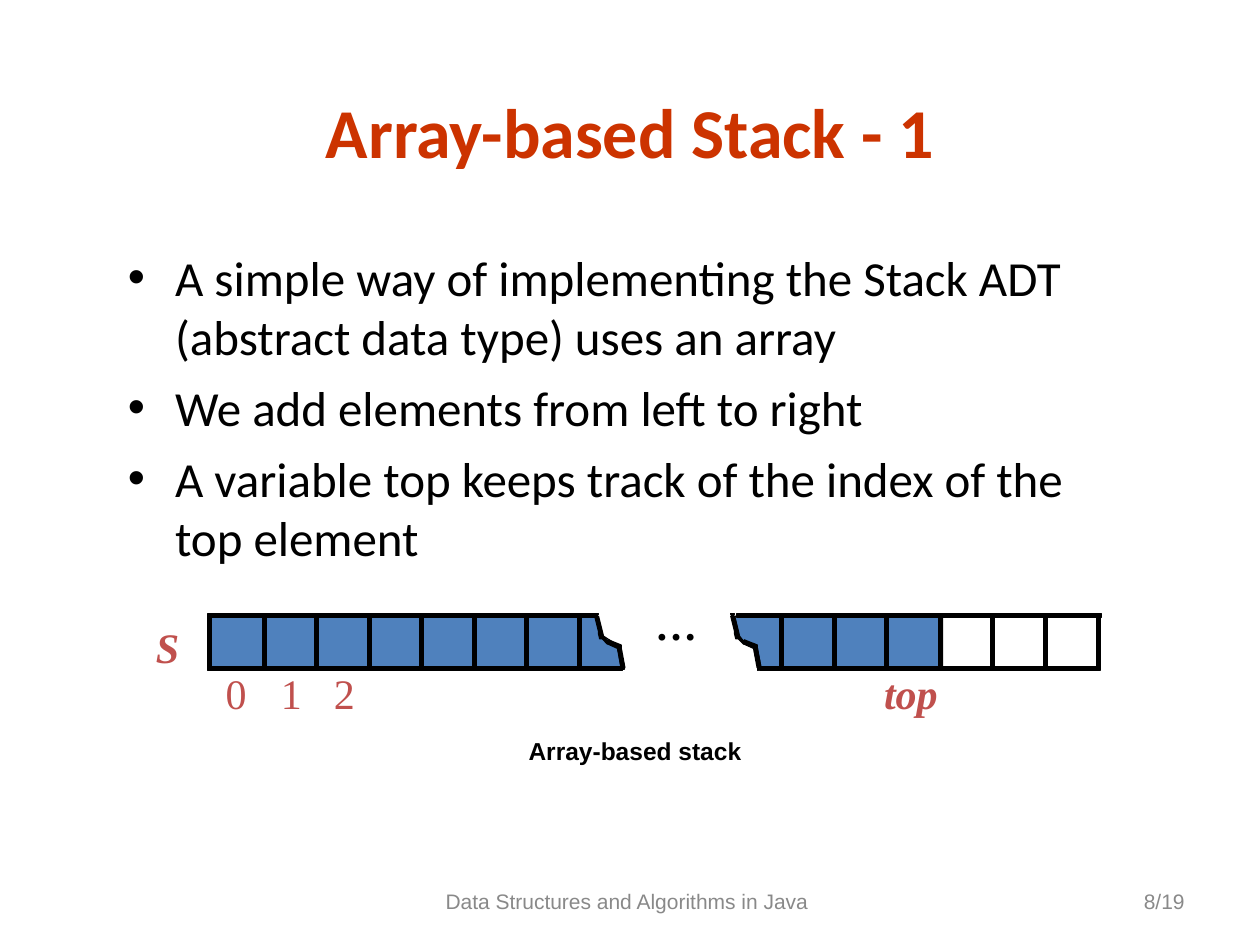
"""Build a slide that explains the array-based stack."""
import pptx
import pptx.dml.color
import pptx.enum.shapes
import pptx.enum.text
import pptx.oxml
import pptx.util
import lxml.etree


def colour(value):
    return pptx.dml.color.RGBColor.from_string(value)


def write(paragraph, text, size, font, shade, bold=False, italic=False):
    run = paragraph.add_run()
    run.text = text
    run.font.size = pptx.util.Pt(size)
    run.font.name = font
    run.font.color.rgb = colour(shade)
    run.font.bold = bold
    run.font.italic = italic


LEFT = pptx.enum.text.PP_ALIGN.LEFT
CENTER = pptx.enum.text.PP_ALIGN.CENTER
RIGHT = pptx.enum.text.PP_ALIGN.RIGHT
TOP = pptx.enum.text.MSO_ANCHOR.TOP
MIDDLE = pptx.enum.text.MSO_ANCHOR.MIDDLE
SERIF, SANS = "Times New Roman", "Arial"
RED, GREY, BLACK, BLUE = "C0504D", "898989", "000000", "4F81BD"

presentation = pptx.Presentation()
inch = pptx.util.Inches(1)
presentation.slide_width = 10 * inch
presentation.slide_height = int(7.5 * inch)
slide = presentation.slides.add_slide(presentation.slide_layouts[5])
shapes = slide.shapes

column = presentation.slide_width / inch / 120
cell = 5 * column
row_top, row_bottom = 4.89, 5.3
bar, cap = 0.03, 0.01
bar_top, bar_bottom = 4.87, 5.29
label_top = row_bottom

title = shapes.title
title.left, title.top, title.width, title.height = (
    int(value * inch) for value in (0.5, 0.65, 9, 0.77))
title.text_frame.vertical_anchor = MIDDLE
title_paragraph = title.text_frame.paragraphs[0]
title_paragraph.alignment = CENTER
write(title_paragraph, "Array-based Stack - 1", 40, "Calibri", "CC3300", True)

body_box = (11 * column, 23 * column, 95 * column, 2.63)
body = shapes.add_textbox(*(int(value * inch) for value in body_box))
body.text_frame.word_wrap = True
points = [
    "A simple way of implementing the Stack ADT (abstract data type) uses an array",
    "We add elements from left to right",
    "A variable top keeps track of the index of the top element",
]
for index, point in enumerate(points):
    paragraph = body.text_frame.paragraphs[0] if index == 0 else body.text_frame.add_paragraph()
    paragraph.space_before = pptx.util.Pt(7)
    properties = paragraph._p.get_or_add_pPr()
    indent = int(4.5 * column * inch)
    properties.set("marL", str(indent))
    properties.set("indent", str(-indent))
    lxml.etree.SubElement(properties, pptx.oxml.ns.qn("a:buFont")).set("typeface", SANS)
    lxml.etree.SubElement(properties, pptx.oxml.ns.qn("a:buChar")).set("char", "•")
    write(paragraph, point, 28, "Calibri", BLACK)

outlines = [
    (BLUE, [(7.48, row_bottom), (7.48, row_top), (5.83, row_top),
            (5.87, 5.07), (6.01, 5.14), (6.04, row_bottom)]),
    (BLUE, [(1.67, row_top), (1.67, row_bottom), (4.93, row_bottom),
            (4.9, 5.12), (4.76, 5.03), (4.73, row_top)]),
]
tear = [
    [(4.75, row_top), (4.78, 5.01), (4.79, 5.05), (4.83, 5.1), (4.83, 5.08), (4.82, 5.11),
     (4.78, 5.07), (4.76, 5.07), (4.75, 5.03), (4.75, 5.01), (4.72, row_top)],
    [(4.83, 5.08), (4.93, 5.12), (4.93, 5.14), (4.9, 5.14), (4.91, 5.15), (4.82, 5.11)],
    [(4.93, 5.14), (4.9, 5.14), (4.93, row_bottom), (4.96, row_bottom)],
]
bars = [
    (1.65, bar_top, 3.08, bar), (5.85, bar_top, 2.89, bar),
    (1.67, bar_bottom, 3.26, bar), (6.03, bar_bottom, 2.69, bar),
    (1.65, row_top, bar, 0.43), (8.7, row_top, bar, 0.43),
]
for shift in (0, 1.08):
    outlines += [(BLACK, [(x + shift, y) for x, y in piece]) for piece in tear]
    bars += [(4.73 + shift, bar_top, cap, bar), (4.93 + shift, bar_bottom, cap, bar),
             (4.72 + shift, bar_top, bar, cap), (4.93 + shift, row_bottom, bar, cap)]
for first, count in ((25 * column, 7), (6.19, 3), (7.45, 3)):
    for step in range(count):
        x = first + step * cell
        bars += [(x, bar_top, bar, cap), (x, row_bottom, bar, cap),
                 (x, row_top, bar, row_bottom - row_top)]

pieces = []
for fill, corners in outlines:
    start, *rest = [(int(x * inch), int(y * inch)) for x, y in corners]
    builder = shapes.build_freeform(*start)
    builder.add_line_segments(rest, close=True)
    pieces.append((fill, builder.convert_to_shape()))
for box in bars:
    pieces.append((BLACK, shapes.add_shape(
        pptx.enum.shapes.MSO_SHAPE.RECTANGLE, *(int(value * inch) for value in box))))
for fill, piece in pieces:
    piece.shadow.inherit = False
    piece.fill.solid()
    piece.fill.fore_color.rgb = colour(fill)
    piece.line.color.rgb = colour(BLACK)
    piece.line.width = pptx.util.Pt(0.75)

labels = [
    ("S", 1.17, 4.93, 0.32, 0.4, CENTER, TOP, 0, 24, SERIF, RED, True, True),
    ("0", 1.79, label_top, 0.17, 0.4, LEFT, TOP, 0, 24, SERIF, RED, False, False),
    ("1", 2.23, label_top, 0.17, 0.4, LEFT, TOP, 0, 24, SERIF, RED, False, False),
    ("2", 2.65, label_top, 0.17, 0.4, LEFT, TOP, 0, 24, SERIF, RED, False, False),
    ("top", 6.91, label_top, 0.64, 0.4, CENTER, TOP, 0, 24, SERIF, RED, True, True),
    ("…", 5.2, 4.75, 0.33, 0.4, LEFT, TOP, 0, 24, SERIF, BLACK, True, False),
    ("Array-based stack", 3.5, 5.79, 3.08, 0.34, CENTER, TOP, 0.1, 14, SANS, BLACK, True, False),
    ("Data Structures and Algorithms in Java ", 38 * column, 6.95, 44 * column, 0.4,
     CENTER, MIDDLE, 0.1, 12, SANS, GREY, False, False),
    ("8/19", 86 * column, 6.95, 28 * column, 0.4,
     RIGHT, MIDDLE, 0.1, 12, SANS, GREY, False, False),
]
for text, x, y, width, height, alignment, anchor, inset, *style in labels:
    label = shapes.add_textbox(*(int(value * inch) for value in (x, y, width, height)))
    frame = label.text_frame
    frame.word_wrap = alignment != LEFT
    frame.vertical_anchor = anchor
    frame.margin_left = frame.margin_right = int(inset * inch)
    frame.margin_top = frame.margin_bottom = int(inset * inch / 2)
    frame.paragraphs[0].alignment = alignment
    write(frame.paragraphs[0], text, *style)

presentation.save("out.pptx")
